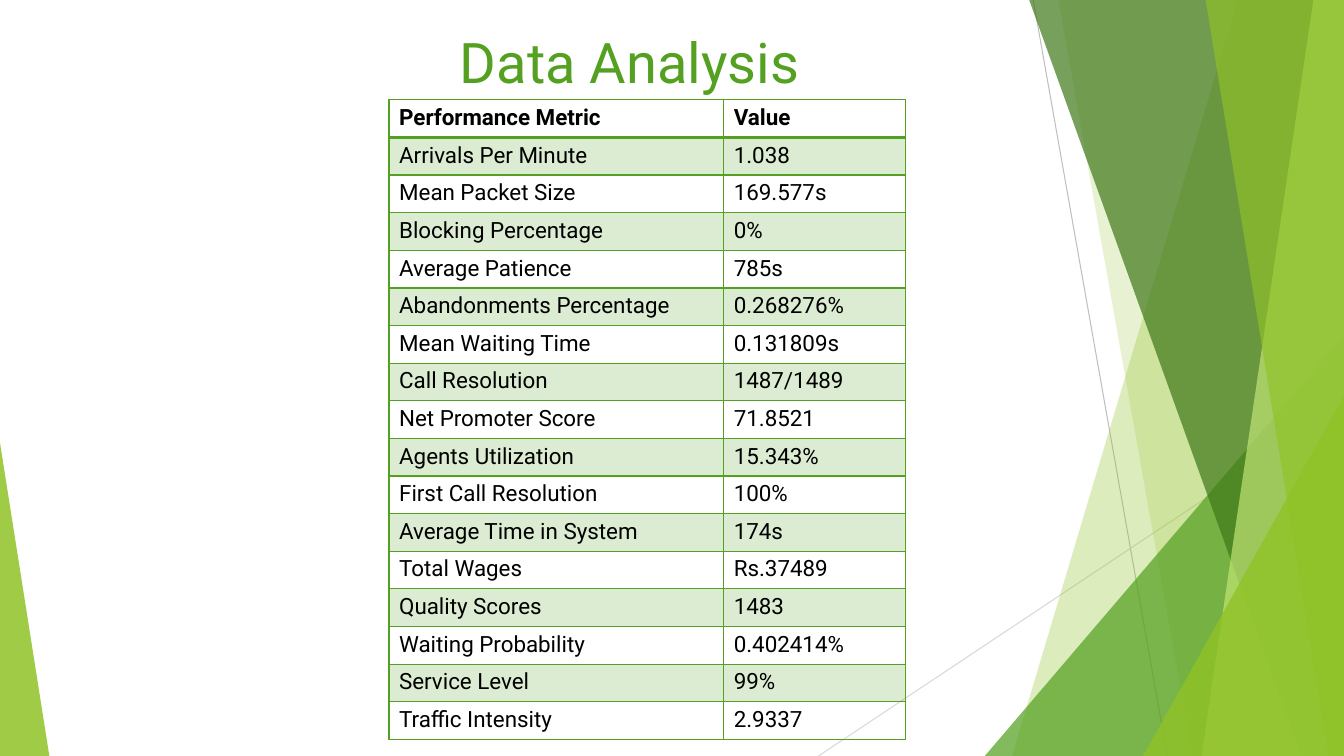
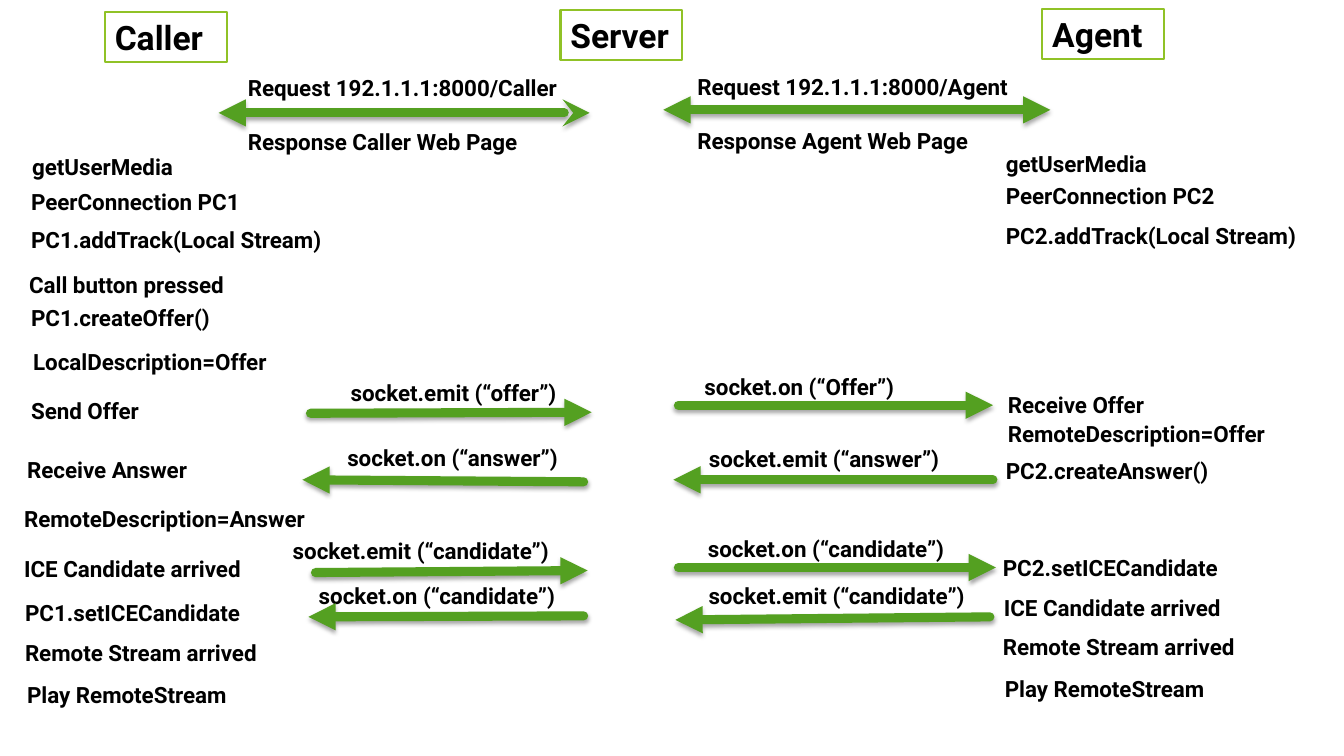
import dataclasses

import lxml.etree
import pptx
import pptx.dml.color
import pptx.enum.shapes
import pptx.enum.text
import pptx.oxml.ns
import pptx.util

COLUMNS = 133.33
ROWS = 75
LEFT = pptx.enum.text.PP_ALIGN.LEFT
CENTER = pptx.enum.text.PP_ALIGN.CENTER
SHAPES = pptx.enum.shapes.MSO_SHAPE


@dataclasses.dataclass(frozen=True)
class Theme:
    font: str = "Roboto"
    ink: str = "000000"
    paper: str = "FFFFFF"
    green: str = "54A021"
    lime: str = "90C226"
    forest: str = "3F7819"
    pale: str = "C0E474"
    gray: str = "BFBFBF"
    silver: str = "D9D9D9"
    title: float = 40
    heading: float = 24
    body: float = 16
    hairline: float = 0.75
    border: float = 1
    frame: float = 1.5
    rule: float = 2
    arrow: float = 6.5


def rgb(color):
    return pptx.dml.color.RGBColor.from_string(color)


def tag(name):
    return pptx.oxml.ns.qn(name)


def add_node(parent, name, **attributes):
    return lxml.etree.SubElement(parent, tag(name), attributes)


def fade(properties, percent):
    color = properties.find(tag("a:solidFill")).find(tag("a:srgbClr"))
    add_node(color, "a:alpha", val=str(percent * 1000))


class Painter:
    def __init__(self, deck, theme):
        self.deck = deck
        self.theme = theme
        self.page = None

    def new_page(self):
        self.page = self.deck.slides.add_slide(self.deck.slide_layouts[6])

    def across(self, columns):
        return round(self.deck.slide_width * columns / COLUMNS)

    def down(self, rows):
        return round(self.deck.slide_height * rows / ROWS)

    def area(self, left, top, width, height):
        return self.across(left), self.down(top), self.across(width), self.down(height)

    def add_text(self, frame, lines, size, color, bold=False, align=LEFT, gap=0):
        frame.word_wrap = True
        for index, line in enumerate(lines):
            para = frame.paragraphs[0] if index == 0 else frame.add_paragraph()
            para.alignment = align
            para.space_before = pptx.util.Pt(gap if index else 0)
            span = para.add_run()
            span.text = line
            span.font.name = self.theme.font
            span.font.size = pptx.util.Pt(size)
            span.font.bold = bold
            span.font.color.rgb = rgb(color)

    def title(self, text, left, top, width, height):
        box = self.page.shapes.add_textbox(*self.area(left, top, width, height))
        self.add_text(box.text_frame, [text], self.theme.title, self.theme.green, align=CENTER)

    def label(self, lines, left, top, width=33, height=3.7, align=LEFT, gap=0):
        box = self.page.shapes.add_textbox(*self.area(left, top, width, height))
        self.add_text(box.text_frame, lines, self.theme.body, self.theme.ink, True, align, gap)

    def heading(self, text, left, top):
        box = self.page.shapes.add_shape(SHAPES.RECTANGLE, *self.area(left, top, 12.1, 5))
        self.paint(box, self.theme.paper)
        box.line.color.rgb = rgb(self.theme.lime)
        box.line.width = pptx.util.Pt(self.theme.frame)
        self.add_text(box.text_frame, [text], self.theme.heading, self.theme.ink, True)

    def paint(self, shape, color, opacity=100):
        shape.shadow.inherit = False
        shape.fill.solid()
        shape.fill.fore_color.rgb = rgb(color)
        shape.line.fill.background()
        if opacity < 100:
            fade(shape.element.spPr, opacity)

    def facet(self, top_edge, bottom_edge, color, opacity):
        corners = [(COLUMNS, 0), (COLUMNS, ROWS), (bottom_edge, ROWS)]
        builder = self.page.shapes.build_freeform(self.across(top_edge), 0)
        builder.add_line_segments([(self.across(x), self.down(y)) for x, y in corners])
        self.paint(builder.convert_to_shape(), color, opacity)

    def wedge(self, left, top, right, apex, color, opacity):
        place = self.area(left, top, right - left, ROWS - top)
        shape = self.page.shapes.add_shape(SHAPES.ISOSCELES_TRIANGLE, *place)
        shape.adjustments[0] = apex
        self.paint(shape, color, opacity)

    def line(self, start, end, color, width):
        connector = self.page.shapes.add_connector(
            pptx.enum.shapes.MSO_CONNECTOR.STRAIGHT,
            self.across(start[0]), self.down(start[1]),
            self.across(end[0]), self.down(end[1]))
        connector.line.color.rgb = rgb(color)
        connector.line.width = pptx.util.Pt(width)
        effects = add_node(connector.element.spPr, "a:effectLst")
        return connector, effects

    def arrow(self, start, end, head=None, tail="triangle"):
        connector, effects = self.line(start, end, self.theme.green, self.theme.arrow)
        stroke = connector.element.spPr.find(tag("a:ln"))
        stroke.set("cap", "rnd")
        if head:
            add_node(stroke, "a:headEnd", type=head)
        add_node(stroke, "a:tailEnd", type=tail)
        shadow = add_node(effects, "a:outerShdw", blurRad=str(pptx.util.Pt(3)),
                          dist=str(pptx.util.Pt(2)), dir="5400000", rotWithShape="0")
        color = add_node(shadow, "a:srgbClr", val=self.theme.ink)
        add_node(color, "a:alpha", val="35000")

    def backdrop(self):
        theme = self.theme
        self.line((102.5, 0), (115.8, ROWS), theme.gray, theme.hairline)
        self.line((COLUMNS, 40.3), (81.2, ROWS), theme.silver, theme.hairline)
        self.facet(122.8, 100.4, theme.lime, 30)
        self.facet(105, 118.3, theme.lime, 20)
        self.wedge(97.7, 33.3, COLUMNS, 1, theme.green, 72)
        self.facet(102.1, 129.1, theme.forest, 70)
        self.facet(130.3, 119.2, theme.pale, 70)
        self.facet(119.6, 131.8, theme.lime, 65)
        self.wedge(113.4, 39.3, COLUMNS, 1, theme.lime, 80)
        self.wedge(0, 43.9, 4.9, 0, theme.lime, 85)

    def table(self, records, left, top, widths, height):
        place = self.area(left, top, sum(widths), height)
        table = self.page.shapes.add_table(len(records), len(widths), *place).table
        table.first_row = False
        table.horz_banding = False
        for column, width in zip(table.columns, widths):
            column.width = self.across(width)
        for row_index, record in enumerate(records):
            table.rows[row_index].height = self.down(height / len(records))
            for column_index, text in enumerate(record):
                self.cell(table.cell(row_index, column_index), text, row_index)

    def cell(self, cell, text, row_index):
        header = row_index == 0
        self.add_text(cell.text_frame, [text], self.theme.body, self.theme.ink, header)
        properties = cell._tc.get_or_add_tcPr()
        for side in "LRTB":
            width = self.theme.rule if header and side == "B" else self.theme.border
            edge = add_node(properties, "a:ln" + side, w=str(pptx.util.Pt(width)))
            add_node(add_node(edge, "a:solidFill"), "a:srgbClr", val=self.theme.green)
        if row_index % 2:
            cell.fill.solid()
            cell.fill.fore_color.rgb = rgb(self.theme.green)
            fade(properties, 20)
        else:
            cell.fill.background()


METRICS = [
    ("Performance Metric", "Value"),
    ("Arrivals Per Minute", "1.038"),
    ("Mean Packet Size", "169.577s"),
    ("Blocking Percentage", "0%"),
    ("Average Patience", "785s"),
    ("Abandonments Percentage", "0.268276%"),
    ("Mean Waiting Time", "0.131809s"),
    ("Call Resolution", "1487/1489"),
    ("Net Promoter Score", "71.8521"),
    ("Agents Utilization", "15.343%"),
    ("First Call Resolution", "100%"),
    ("Average Time in System", "174s"),
    ("Total Wages", "Rs.37489"),
    ("Quality Scores", "1483"),
    ("Waiting Probability", "0.402414%"),
    ("Service Level", "99%"),
    ("Traffic Intensity", "2.9337"),
]

HEADINGS = [("Caller", 10.4, 1.2), ("Server", 55.6, 1), ("Agent", 103.4, 0.9)]

CALLER_STEPS = [
    ("getUserMedia", 2.2, 14.7),
    ("PeerConnection PC1", 2.1, 18.2),
    ("PC1.addTrack(Local Stream)", 2.1, 21.9),
    ("Call button pressed", 1.9, 26.4),
    ("PC1.createOffer()", 2.1, 29.7),
    ("LocalDescription=Offer", 2.3, 34),
    ("Send Offer", 2.1, 38.9),
    ("Receive Answer", 1.7, 44.8),
    ("RemoteDescription=Answer", 1.4, 49.6),
    ("ICE Candidate arrived", 1.4, 54.6),
    ("PC1.setICECandidate", 1.5, 58.9),
    ("Remote Stream arrived", 1.5, 62.9),
    ("Play RemoteStream", 1.7, 67.1),
]

AGENT_STEPS = [
    ("getUserMedia", 98.8, 14.4),
    ("PeerConnection PC2", 98.8, 17.6),
    ("PC2.addTrack(Local Stream)", 98.8, 21.5),
    ("Receive Offer", 99, 38.3),
    ("RemoteDescription=Offer", 99, 41.2),
    ("PC2.createAnswer()", 98.8, 44.9),
    ("PC2.setICECandidate", 98.5, 54.5),
    ("ICE Candidate arrived", 98.6, 58.5),
    ("Remote Stream arrived", 98.5, 62.3),
    ("Play RemoteStream", 98.7, 66.5),
]

MESSAGES = [
    ("socket.emit (“offer”)", 45, 37.1, (30.8, 41), (58.7, 40.9)),
    ("socket.on (“Offer”)", 79.3, 36.5, (67.3, 40.2), (98.5, 40.2)),
    ("socket.on (“answer”)", 44.9, 43.6, (57.9, 47.8), (30, 47.6)),
    ("socket.emit (“answer”)", 81.75, 43.7, (98.5, 47.6), (66.8, 47.6)),
    ("socket.emit (“candidate”)", 41.75, 52.8, (31.3, 56.8), (58.3, 56.6)),
    ("socket.on (“candidate”)", 81.95, 52.6, (67.3, 56.3), (98.8, 56.3)),
    ("socket.on (“candidate”)", 43.35, 57.3, (57.9, 61.1), (30.6, 61.2)),
    ("socket.emit (“candidate”)", 83, 57.3, (98.2, 61.2), (67, 61.5)),
]

EXCHANGES = [
    ("Caller", 23.6, 6.9, (21.7, 11.2), (58.5, 11.2), "stealth"),
    ("Agent", 68.2, 6.8, (65.8, 10.9), (104.2, 10.9), "triangle"),
]


def build_analysis(painter):
    painter.new_page()
    painter.backdrop()
    painter.title("Data Analysis", 33, 2.2, 58.9, 7.7)
    painter.table(METRICS, 38.6, 9.9, (33.2, 18), 63.5)


def build_call_flow(painter):
    painter.new_page()
    for text, left, top in HEADINGS:
        painter.heading(text, left, top)
    for text, left, top in CALLER_STEPS + AGENT_STEPS:
        painter.label([text], left, top)
    for text, middle, top, start, end in MESSAGES:
        painter.label([text], middle - 17.5, top, width=35, align=CENTER)
        painter.arrow(start, end)
    for role, left, top, start, end, tail in EXCHANGES:
        lines = [f"Request 192.1.1.1:8000/{role}", f"Response {role} Web Page"]
        painter.label(lines, left, top, width=40, height=9.4, gap=19)
        painter.arrow(start, end, head="triangle", tail=tail)


def main():
    deck = pptx.Presentation()
    deck.slide_width = pptx.util.Inches(13.33)
    deck.slide_height = pptx.util.Inches(7.5)
    painter = Painter(deck, Theme())
    build_analysis(painter)
    build_call_flow(painter)
    deck.save("out.pptx")


if __name__ == "__main__":
    main()
